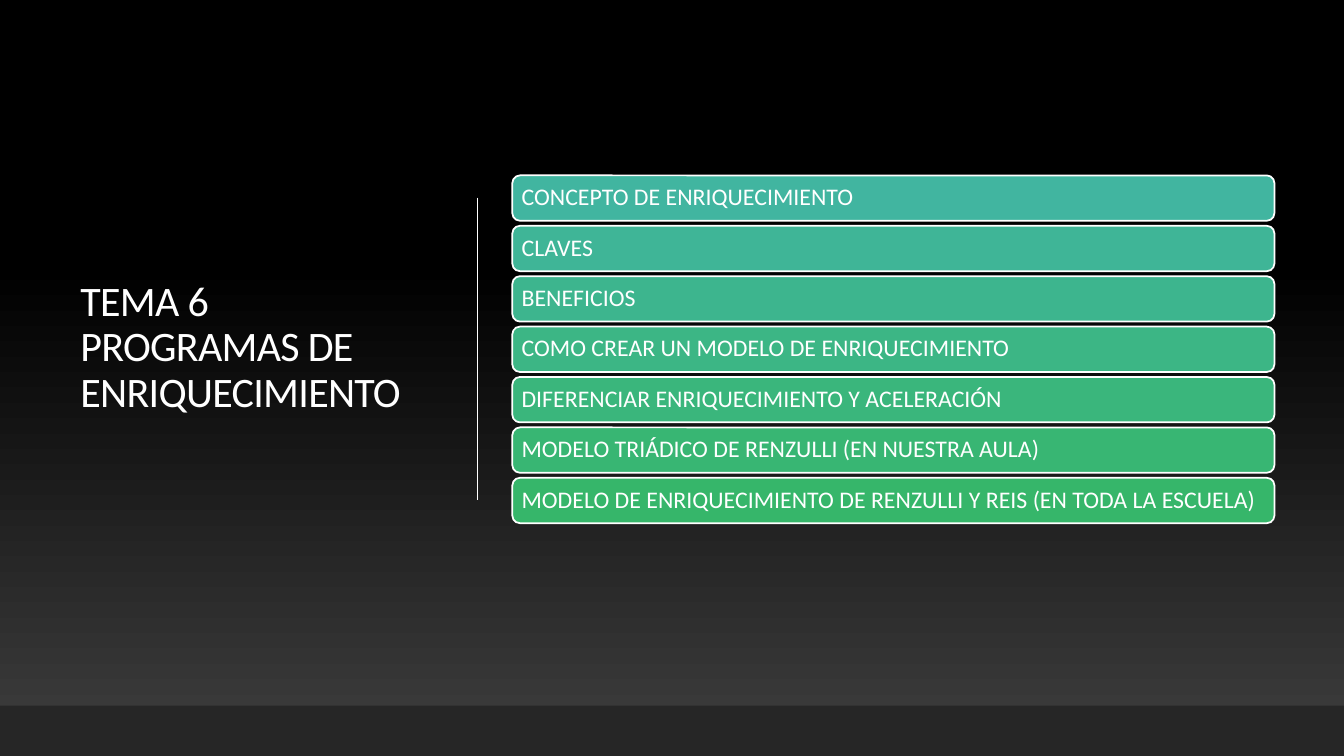
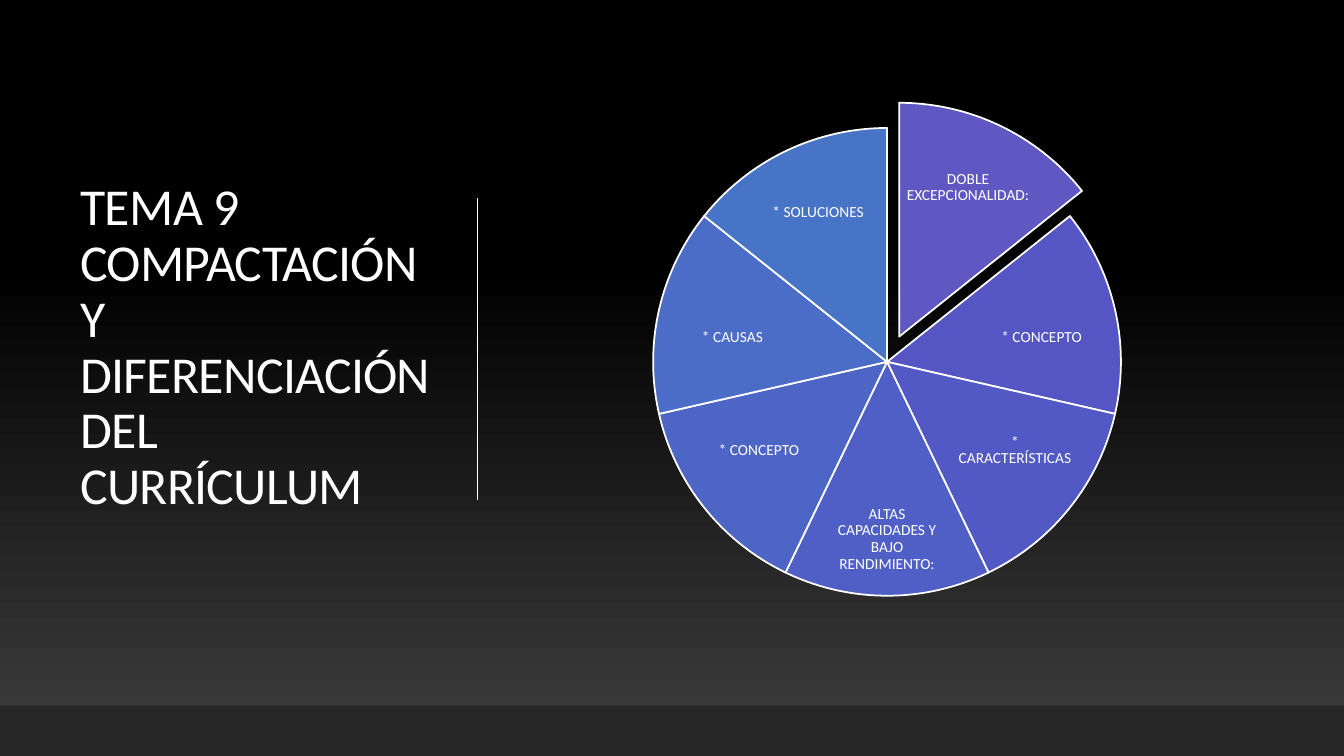
from pptx import Presentation, util as u
from pptx.dml.color import RGBColor
from pptx.enum import shapes, text
from pptx.oxml.ns import qn
from lxml import etree

COLUMNS, ROWS = 40, 15
WHITE = RGBColor(0xFF, 0xFF, 0xFF)
BLACK = RGBColor(0x00, 0x00, 0x00)
CHARCOAL = RGBColor(0x3F, 0x3F, 0x3F)
FOOTER_GREY = RGBColor(0x26, 0x26, 0x26)
TEAL = RGBColor(0x41, 0xB5, 0xA0)
GREEN = RGBColor(0x36, 0xB6, 0x6A)
SLICE_COLOURS = [
    RGBColor(0x5F, 0x57, 0xC2), RGBColor(0x55, 0x55, 0xC3),
    RGBColor(0x52, 0x59, 0xC4), RGBColor(0x50, 0x5F, 0xC5),
    RGBColor(0x4D, 0x66, 0xC6), RGBColor(0x4B, 0x6D, 0xC7),
    RGBColor(0x48, 0x74, 0xC8),
]

TOPICS = [
    "CONCEPTO DE ENRIQUECIMIENTO",
    "CLAVES",
    "BENEFICIOS",
    "COMO CREAR UN MODELO DE ENRIQUECIMIENTO",
    "DIFERENCIAR ENRIQUECIMIENTO Y ACELERACIÓN",
    "MODELO TRIÁDICO DE RENZULLI (EN NUESTRA AULA)",
    "MODELO DE ENRIQUECIMIENTO DE RENZULLI Y REIS (EN TODA LA ESCUELA)",
]
SLICES = [
    "DOBLE EXCEPCIONALIDAD:",
    "* CONCEPTO",
    "* CARACTERÍSTICAS",
    "ALTAS CAPACIDADES Y BAJO RENDIMIENTO:",
    "* CONCEPTO",
    "* CAUSAS",
    "* SOLUCIONES",
]
# Label boxes of the right half, top to bottom: offset of the middle from
# the wheel's centre, then width and height. The left half mirrors them.
LABEL_BOXES = [
    (2.05, -2.96, 3.8, 1.6),
    (4.6, -0.48, 4.05, 1.72),
    (3.81, 1.76, 3.66, 1.76),
    (0, 3.52, 3.72, 1.76),
]


def blend(start, end, share):
    return RGBColor(*(round(a + (b - a) * share) for a, b in zip(start, end)))


class Deck:
    """The shared style and the slide being filled; lengths are grid columns and rows."""

    font = "Calibri"
    outline = u.Pt(1.25)

    def __init__(self):
        self.prs = Presentation()
        self.prs.slide_width = u.Inches(13.33)
        self.prs.slide_height = u.Inches(7.5)
        self.slide = None

    def x(self, columns):
        return round(self.prs.slide_width * columns / COLUMNS)

    def y(self, rows):
        return round(self.prs.slide_height * rows / ROWS)

    def box(self, left, top, width, height):
        return self.x(left), self.y(top), self.x(width), self.y(height)

    def new_slide(self, heading, subject, size):
        """Add a slide with its backdrop, title, divider and footer band."""
        self.slide = self.prs.slides.add_slide(self.prs.slide_layouts[6])
        backdrop = self.slide.background.fill
        backdrop.gradient()
        backdrop.gradient_angle = 90
        for stop, colour, position in zip(backdrop.gradient_stops, (CHARCOAL, BLACK), (0, 0.65)):
            stop.color.rgb = colour
            stop.position = position
        self.title(heading, subject, size)
        self.divider(14.22, 3.92, 9.92)
        self.shape(shapes.MSO_SHAPE.RECTANGLE, (0, 14, COLUMNS, 1), FOOTER_GREY)

    def shape(self, kind, place, fill, outlined=False):
        shape = self.slide.shapes.add_shape(kind, *self.box(*place))
        shape.shadow.inherit = False
        shape.fill.solid()
        shape.fill.fore_color.rgb = fill
        if outlined:
            shape.line.color.rgb = WHITE
            shape.line.width = self.outline
        else:
            shape.line.fill.background()
        return shape

    def fill_text(self, shape, words, size, align, inset):
        """Set the frame of a shape and add its first run."""
        frame = shape.text_frame
        frame.word_wrap = True
        frame.vertical_anchor = text.MSO_ANCHOR.MIDDLE
        frame.margin_left = frame.margin_right = u.Inches(inset)
        frame.margin_top = frame.margin_bottom = u.Inches(inset)
        paragraph = frame.paragraphs[0]
        paragraph.alignment = align
        paragraph.line_spacing = 0.9
        self.styled_run(paragraph, words, size)
        return paragraph

    def styled_run(self, paragraph, words, size):
        run = paragraph.add_run()
        run.text = words
        run.font.name = self.font
        run.font.size = u.Pt(size)
        run.font.color.rgb = WHITE

    def title(self, heading, subject, size):
        title = self.slide.shapes.add_textbox(*self.box(2.1, 1.38, 11.07, 11.06))
        paragraph = self.fill_text(title, heading, size, text.PP_ALIGN.LEFT, 0.1)
        title.text_frame.margin_right = 0
        paragraph.add_line_break()
        self.styled_run(paragraph, subject, size)
        for run in paragraph.runs:
            run.font._element.set("spc", "-50")

    def divider(self, column, top, bottom):
        line = self.slide.shapes.add_connector(
            shapes.MSO_CONNECTOR.STRAIGHT,
            self.x(column), self.y(top), self.x(column), self.y(bottom))
        line.line.color.rgb = WHITE
        line.line.width = u.Pt(1)
        etree.SubElement(line._element.spPr, qn("a:effectLst"))

    def bars(self, topics, left, top, width):
        for i, topic in enumerate(topics):
            colour = blend(TEAL, GREEN, i / (len(topics) - 1))
            bar = self.shape(shapes.MSO_SHAPE.ROUNDED_RECTANGLE,
                             (left, top + i, width, 0.9), colour, True)
            self.fill_text(bar, topic, 17, text.PP_ALIGN.LEFT, 0.07)

    def wheel(self, names, centre_x, centre_y, width, height):
        """Draw equal slices clockwise from the top, the first one pulled out."""
        sweep = 360 / len(names)
        for i, (name, colour) in enumerate(zip(names, SLICE_COLOURS)):
            pull_x, pull_y = (0.36, -0.5) if i == 0 else (0, 0)
            middle_x, middle_y = centre_x + pull_x, centre_y + pull_y
            piece = self.shape(
                shapes.MSO_SHAPE.PIE,
                (middle_x - width / 2, middle_y - height / 2, width, height), colour, True)
            for edge in (0, 1):
                # A pie's angles count in units of 5/3 degree.
                piece.adjustments[edge] = (270 + (i + edge) * sweep) % 360 * 0.6
            mirrored = len(names) - 1 - i
            dx, dy, label_width, label_height = LABEL_BOXES[min(i, mirrored)]
            if i > mirrored:
                dx = -dx
            label = self.slide.shapes.add_textbox(*self.box(
                middle_x + dx - label_width / 2, middle_y + dy - label_height / 2,
                label_width, label_height))
            self.fill_text(label, name, 11, text.PP_ALIGN.CENTER, 0.02)


def main():
    deck = Deck()
    deck.new_slide("TEMA 6", "PROGRAMAS DE ENRIQUECIMIENTO", 30)
    deck.bars(TOPICS, 15.25, 3.48, 22.68)
    deck.new_slide("TEMA 9", "COMPACTACIÓN Y DIFERENCIACIÓN DEL CURRÍCULUM", 37)
    deck.wheel(SLICES, 26.4, 7.18, 13.92, 9.28)
    deck.prs.save("out.pptx")


if __name__ == "__main__":
    main()
